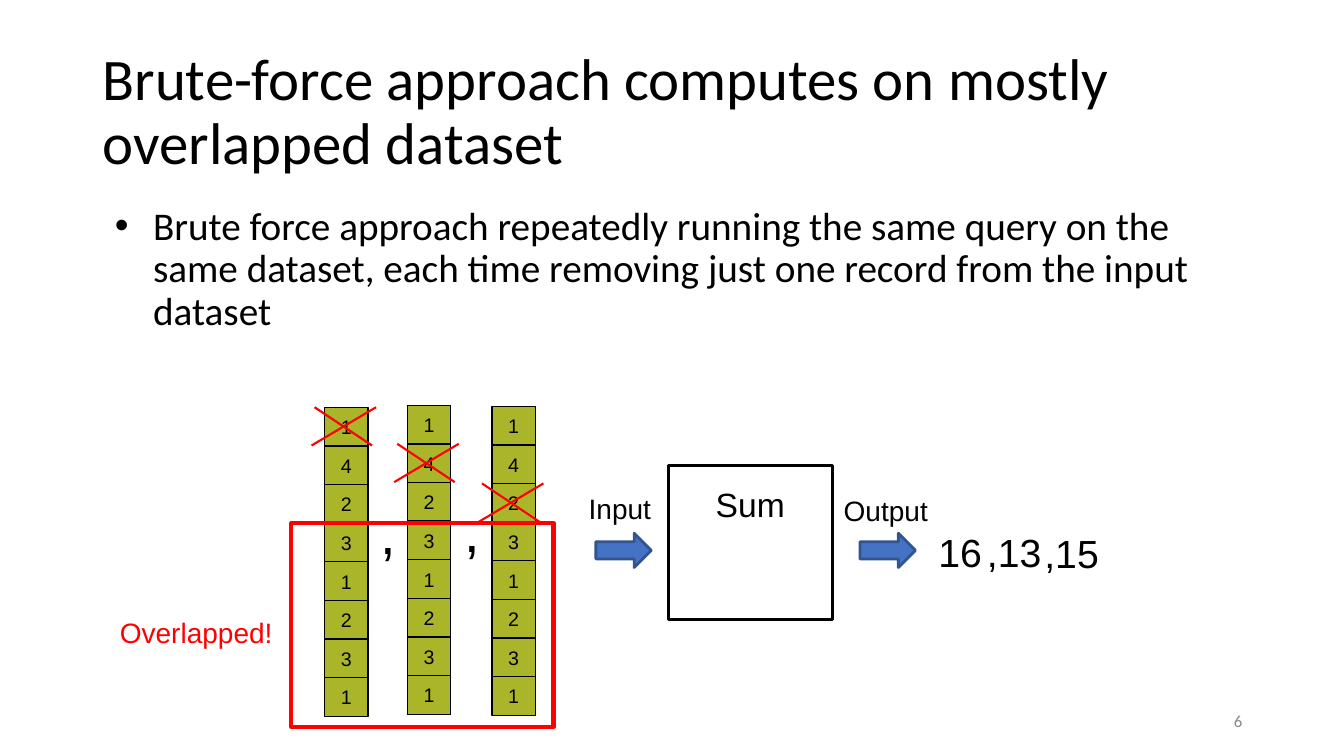
from lxml.etree import SubElement
from pptx import Presentation
from pptx.dml.color import RGBColor
from pptx.enum.shapes import MSO_CONNECTOR, MSO_SHAPE
from pptx.enum.text import MSO_ANCHOR, PP_ALIGN
from pptx.oxml.ns import qn
from pptx.util import Inches, Pt

BLACK, RED, GREY = "000000", "FF0000", "888888"
BLUE, DARK_BLUE, OLIVE, WHITE = "4472C4", "325491", "AAB529", "FFFFFF"

presentation = Presentation()
presentation.slide_width = Inches(13.33)
presentation.slide_height = Inches(7.5)
slide = presentation.slides.add_slide(presentation.slide_layouts[6])


def paint(color_holder, hex_color):
    """Give a fill, line fill or font a solid colour."""
    if hasattr(color_holder, "solid"):
        color_holder.solid()
        color_holder = color_holder.fore_color
    else:
        color_holder = color_holder.color
    color_holder.rgb = RGBColor.from_string(hex_color)


def write(frame, text, size, color=BLACK, font="Arial", wrap=False,
          anchor=MSO_ANCHOR.TOP, **paragraph_format):
    """Fill a text frame with one formatted paragraph."""
    frame.word_wrap = wrap
    frame.vertical_anchor = anchor
    paragraph = frame.paragraphs[0]
    for name, value in paragraph_format.items():
        setattr(paragraph, name, value)
    run = paragraph.add_run()
    run.text = text
    for name, value in {"size": Pt(size), "name": font}.items():
        setattr(run.font, name, value)
    paint(run.font, color)
    return paragraph


# Title, bullet and page number
headings = [
    ((0.92, 0.4, 11.5, 1.45),
     "Brute-force approach computes on mostly overlapped dataset",
     {"size": 42, "anchor": MSO_ANCHOR.MIDDLE, "line_spacing": 0.9}),
    ((0.92, 2, 11.5, 1.5),
     "Brute force approach repeatedly running the same query on the same dataset, "
     "each time removing just one record from the input dataset",
     {"size": 28, "line_spacing": 0.9}),
    ((9.42, 6.95, 3, 0.4), "6",
     {"size": 12, "color": GREY, "anchor": MSO_ANCHOR.MIDDLE, "alignment": PP_ALIGN.RIGHT}),
]
heading_paragraphs = []
for place, text, text_format in headings:
    heading = slide.shapes.add_textbox(*map(Inches, place))
    heading_paragraphs.append(
        write(heading.text_frame, text, font="Calibri", wrap=True, **text_format))

bullet_properties = heading_paragraphs[1]._p.get_or_add_pPr()
bullet_properties.set("marL", str(Inches(0.5)))
bullet_properties.set("indent", str(Inches(-0.38)))
SubElement(bullet_properties, qn("a:buFont")).set("typeface", "Arial")
SubElement(bullet_properties, qn("a:buChar")).set("char", "•")

# Outlines: (preset, place, fill, line colour, line width, text)
outlines = [
    (MSO_SHAPE.RIGHT_ARROW, (5.91, 5.29, 0.55, 0.34), BLUE, DARK_BLUE, 2, None),
    (MSO_SHAPE.RECTANGLE, (6.63, 4.62, 1.63, 1.53), WHITE, BLACK, 2, None),
    (MSO_SHAPE.RIGHT_ARROW, (8.53, 5.29, 0.55, 0.34), BLUE, DARK_BLUE, 2, None),
]

# Three copies of the dataset, one column each
records = "14231231"
columns = [(3.22, 4.04), (4.04, 4.02), (4.88, 4.03)]
cell_width, cell_height, row_step = 0.43, 0.39, 0.383
for left, top in columns:
    for row, record in enumerate(records):
        place = (left, top + row * row_step, cell_width, cell_height)
        outlines.append((MSO_SHAPE.RECTANGLE, place, OLIVE, BLACK, 1, record))

# Frame around the overlapped records
outlines.append((MSO_SHAPE.RECTANGLE, (2.89, 5.19, 2.6, 2.02), None, RED, 3, None))

for preset, place, fill, line_color, line_width, text in outlines:
    outline = slide.shapes.add_shape(preset, *map(Inches, place))
    outline.shadow.inherit = False
    if fill:
        paint(outline.fill, fill)
    else:
        outline.fill.background()
    paint(outline.line, line_color)
    outline.line.width = Pt(line_width)
    if text:
        write(outline.text_frame, text, 14, wrap=True,
              anchor=MSO_ANCHOR.MIDDLE, alignment=PP_ALIGN.CENTER)

# Labels and results
labels = [
    ("Input", (5.74, 4.83, 0.82, 0.44), 20, BLACK),
    ("Sum", (7, 4.75, 0.99, 0.5), 24, BLACK),
    ("Output", (8.27, 4.85, 1.04, 0.44), 20, BLACK),
    (",", (3.68, 4.9, 0.34, 0.77), 40, BLACK),
    (",", (4.51, 4.88, 0.34, 0.77), 40, BLACK),
    ("16", (9.21, 5.19, 0.64, 0.57), 28, BLACK),
    (",13", (9.69, 5.19, 0.75, 0.57), 28, BLACK),
    (",15", (10.26, 5.2, 0.75, 0.57), 28, BLACK),
    ("Overlapped!", (1.09, 6.06, 1.73, 0.44), 20, RED),
]
for text, place, size, color in labels:
    label = slide.shapes.add_textbox(*map(Inches, place))
    write(label.text_frame, text, size, color)

# Red cross over the record removed from each column
for removed_row, (left, top) in enumerate(columns):
    cross_left = left - 0.12
    cross_top = top + removed_row * row_step
    for start_x, start_y, end_x, end_y in [(-0.01, 0.38, 0.63, 0), (0.02, 0, 0.59, 0.38)]:
        stroke = slide.shapes.add_connector(
            MSO_CONNECTOR.STRAIGHT,
            Inches(cross_left + start_x), Inches(cross_top + start_y),
            Inches(cross_left + end_x), Inches(cross_top + end_y))
        paint(stroke.line, RED)
        stroke.line.width = Pt(1.5)
        SubElement(stroke._element.spPr, qn("a:effectLst"))

presentation.save("out.pptx")
